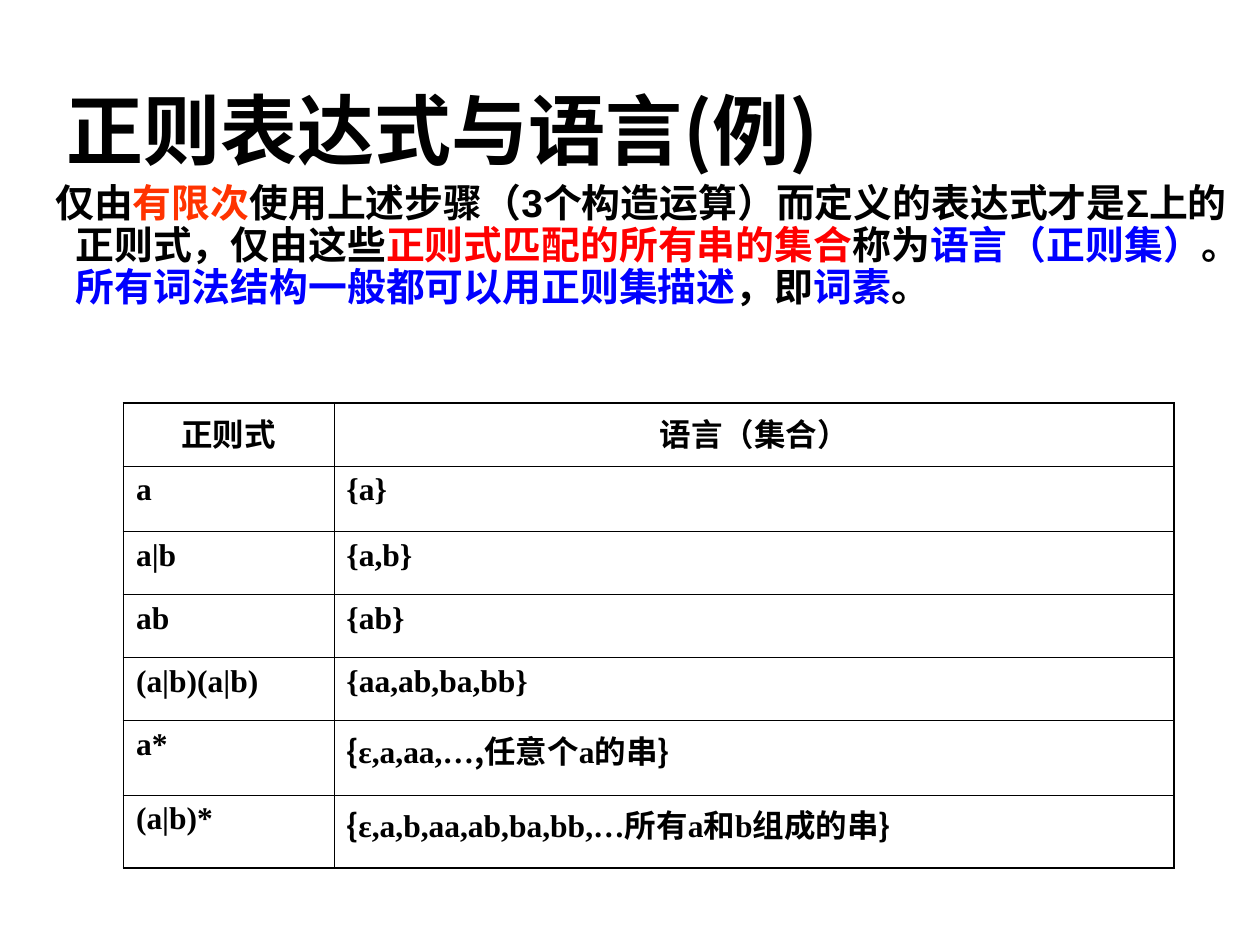
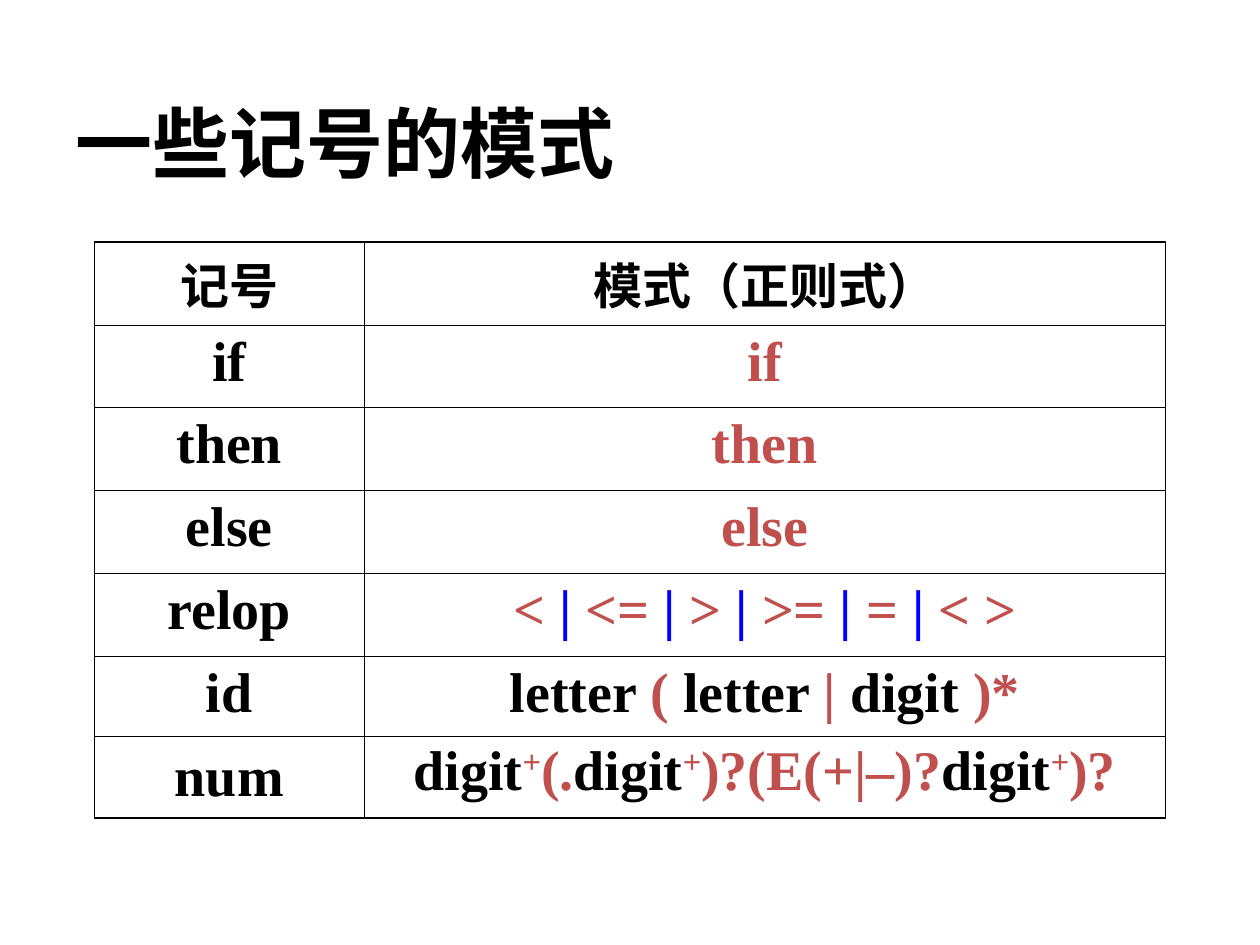
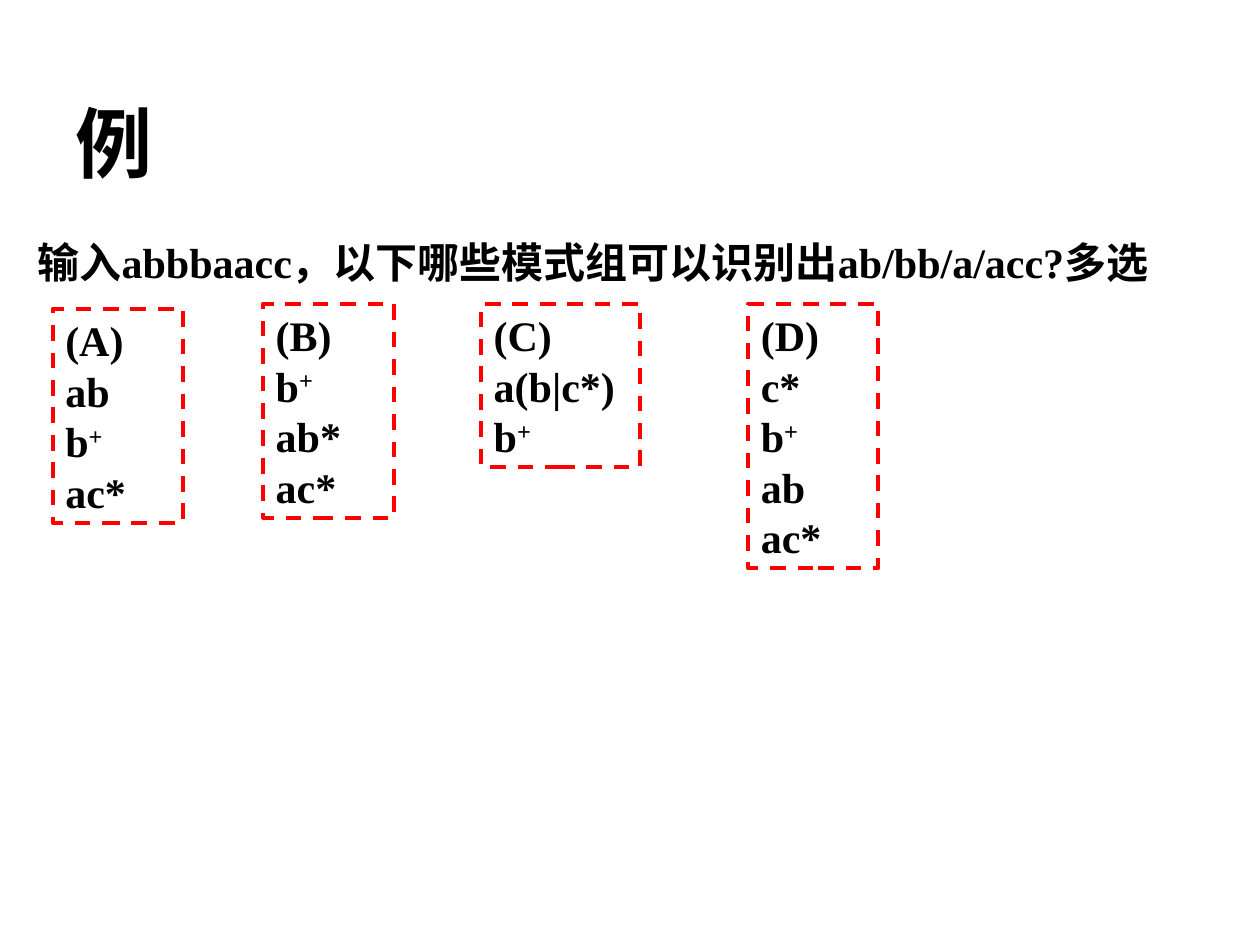
from lxml.etree import SubElement
from pptx import Presentation
from pptx.dml.color import RGBColor
from pptx.enum.dml import MSO_LINE
from pptx.enum.shapes import MSO_SHAPE
from pptx.enum.text import MSO_ANCHOR, PP_ALIGN
from pptx.oxml.ns import qn
from pptx.util import Inches, Pt

BLACK = RGBColor(0x00, 0x00, 0x00)
RED = RGBColor(0xFF, 0x00, 0x00)
ORANGE = RGBColor(0xFF, 0x33, 0x00)
BLUE = RGBColor(0x00, 0x00, 0xFF)
BRICK = RGBColor(0xC0, 0x50, 0x4D)
CJK, SERIF, SANS = "Noto Sans CJK SC", "Times New Roman", "Arial"
THICK, THIN = Pt(1.08), Pt(0.45)
PLUS = ("+", {"raised": True})
BRICK_PLUS = ("+", {"raised": True, "color": BRICK})


class Deck:
    """Holds the shared style and the current slide."""

    def __init__(self):
        self.prs = Presentation()
        self.prs.slide_width, self.prs.slide_height = Inches(10), Inches(7.5)
        self.s = None

    def slide(self, title, left=0.5, top=0.7):
        self.s = self.prs.slides.add_slide(self.prs.slide_layouts[6])
        tf = self.text(left, top, 9, 0.85, [title], {"size": Pt(44), "name": CJK})
        tf.vertical_anchor = MSO_ANCHOR.MIDDLE

    def fill_paragraph(self, p, runs, fmt, **layout):
        for key, value in layout.items():
            setattr(p, key, value)
        for run in [runs] if isinstance(runs, str) else runs:
            text, extra = (run, {}) if isinstance(run, str) else run
            values = {"bold": True, "color": BLACK, **fmt, **extra}
            r = p.add_run()
            r.text = text
            r.font.color.rgb = values.pop("color")
            if values.pop("raised", False):
                r.font._element.set("baseline", "30000")
            for key, value in values.items():
                setattr(r.font, key, value)
            SubElement(r.font._element, qn("a:ea"), typeface=CJK)

    def fill_frame(self, tf, paragraphs, fmt, **layout):
        tf.word_wrap = True
        for i, runs in enumerate(paragraphs):
            p = tf.add_paragraph() if i else tf.paragraphs[0]
            self.fill_paragraph(p, runs, fmt, **layout)

    def text(self, x, y, w, h, paragraphs, fmt, margin=0, indent=0, **layout):
        tf = self.s.shapes.add_textbox(*map(Inches, (x, y, w, h))).text_frame
        self.fill_frame(tf, paragraphs, fmt, **layout)
        for p in tf.paragraphs:
            pPr = p._p.get_or_add_pPr()
            pPr.set("marL", str(Inches(margin)))
            pPr.set("indent", str(Inches(indent)))
        return tf

    def dashed_box(self, x, y, w, h, paragraphs, fmt):
        sp = self.s.shapes.add_shape(MSO_SHAPE.RECTANGLE, *map(Inches, (x, y, w, h)))
        sp.shadow.inherit = False
        sp.fill.background()
        sp.line.color.rgb = RED
        sp.line.width = Pt(2.25)
        sp.line.dash_style = MSO_LINE.DASH
        sp.text_frame.vertical_anchor = MSO_ANCHOR.TOP
        self.fill_frame(sp.text_frame, paragraphs, fmt,
                        alignment=PP_ALIGN.LEFT, line_spacing=Pt(28.8))

    def table(self, x, y, widths, heights, rows, head, body, body_align):
        frame = self.s.shapes.add_table(len(rows), len(widths), Inches(x), Inches(y),
                                        Inches(sum(widths)), Inches(sum(heights)))
        table = frame.table
        table.first_row = table.horz_banding = False
        for column, width in zip(table.columns, widths):
            column.width = Inches(width)
        for i, (row, height) in enumerate(zip(rows, heights)):
            table.rows[i].height = Inches(height)
            for j, runs in enumerate(row):
                cell = table.cell(i, j)
                self.fill_paragraph(cell.text_frame.paragraphs[0], runs, body if i else head,
                                    alignment=body_align if i else PP_ALIGN.CENTER)
                self.borders(cell, lnL=j == 0, lnR=j == len(widths) - 1,
                             lnT=i == 0, lnB=i == len(rows) - 1)
                cell.fill.background()
        return table

    def borders(self, cell, **outer):
        tcPr = cell._tc.get_or_add_tcPr()
        for side, is_outer in outer.items():
            ln = SubElement(tcPr, qn("a:" + side), w=str(THICK if is_outer else THIN))
            SubElement(SubElement(ln, qn("a:solidFill")), qn("a:srgbClr"), val=str(BLACK))


def brick(text):
    return text, {"color": BRICK}


def blue(text):
    return text, {"color": BLUE}


def cjk(text):
    return text, {"name": CJK}


def languages(deck):
    deck.slide("正则表达式与语言(例)", 0.43, 0.6)
    definition = [
        "仅由", ("有限次", {"color": ORANGE, "name": CJK}),
        "使用上述步骤（3个构造运算）而定义的表达式才是Σ上的正则式，仅由这些",
        ("正则式匹配的所有串的集合", {"color": RED}), "称为", blue("语言（正则集）"), "。",
        blue("所有词法结构一般都可以用正则集描述"), "，即", blue("词素"), "。",
    ]
    deck.text(0.12, 1.41, 9.76, 1.45, [definition], {"size": Pt(22.2), "name": SANS},
              margin=0.38, indent=-0.16, line_spacing=0.9)
    rows = [
        ("正则式", "语言（集合）"),
        ("a", "{a}"),
        ("a|b", "{a,b}"),
        ("ab", "{ab}"),
        ("(a|b)(a|b)", "{aa,ab,ba,bb}"),
        ("a*", [cjk("{"), "ε,a,aa,…", cjk(",任意个"), "a", cjk("的串}")]),
        ("(a|b)*", [cjk("{"), "ε,a,b,aa,ab,ba,bb,…", cjk("所有"), "a和b", cjk("组成的串}")]),
    ]
    deck.table(0.98, 3.2, [1.67, 6.67], [0.5, 0.52, 0.5, 0.5, 0.5, 0.59, 0.58], rows,
               {"size": Pt(18), "name": CJK}, {"size": Pt(18), "name": SERIF}, PP_ALIGN.LEFT)


def token_patterns(deck):
    deck.slide("一些记号的模式")
    relop = [brick("< "), blue("|"), brick(" <= "), blue("|"), brick(" > "), blue("|"),
             brick(" >= "), blue("|"), brick(" = "), blue("|"), brick(" < >")]
    identifier = ["letter ", brick("( "), "letter ", brick("|"), " digit", brick(" )*")]
    number = ["digit", BRICK_PLUS, brick("(."), "digit", BRICK_PLUS, brick(")?(E(+|–)?"),
              "digit", BRICK_PLUS, brick(")?")]
    keywords = [(word, [brick(word)]) for word in ("if", "then", "else")]
    rows = [("记号", "模式（正则式）"), *keywords,
            ("relop", relop), ("id", identifier), ("num", number)]
    table = deck.table(0.75, 1.92, [2.14, 6.36], [0.66, 0.65, 0.66, 0.66, 0.66, 0.63, 0.65],
                       rows, {"size": Pt(28), "name": SERIF}, {"size": Pt(32), "name": SERIF},
                       PP_ALIGN.CENTER)
    for cell in table.rows[6].cells:
        cell.vertical_anchor = MSO_ANCHOR.MIDDLE
    table.cell(6, 1).text_frame.paragraphs[0].line_spacing = 0.7


def exercise(deck):
    deck.slide("例")
    fmt = {"size": Pt(24), "name": SERIF}
    deck.text(0.2, 1.75, 9.69, 0.66,
              ["输入abbbaacc，以下哪些模式组可以识别出ab/bb/a/acc?多选"], fmt,
              margin=0.38, indent=-0.38, line_spacing=1.2)
    b_plus = ["b", PLUS]
    options = [
        (0.42, 2.45, 1.03, ["(A)", "ab", b_plus, "ac*"]),
        (2.09, 2.41, 1.04, ["(B)", b_plus, "ab*", "ac*"]),
        (3.82, 2.41, 1.26, ["(C)", "a(b|c*)", b_plus]),
        (5.94, 2.41, 1.03, ["(D)", "c*", b_plus, "ab", "ac*"]),
    ]
    for x, y, w, patterns in options:
        deck.dashed_box(x, y, w, 0.1 + 0.4 * len(patterns), patterns, fmt)


def main():
    deck = Deck()
    for build in (languages, token_patterns, exercise):
        build(deck)
    deck.prs.save("out.pptx")


if __name__ == "__main__":
    main()
